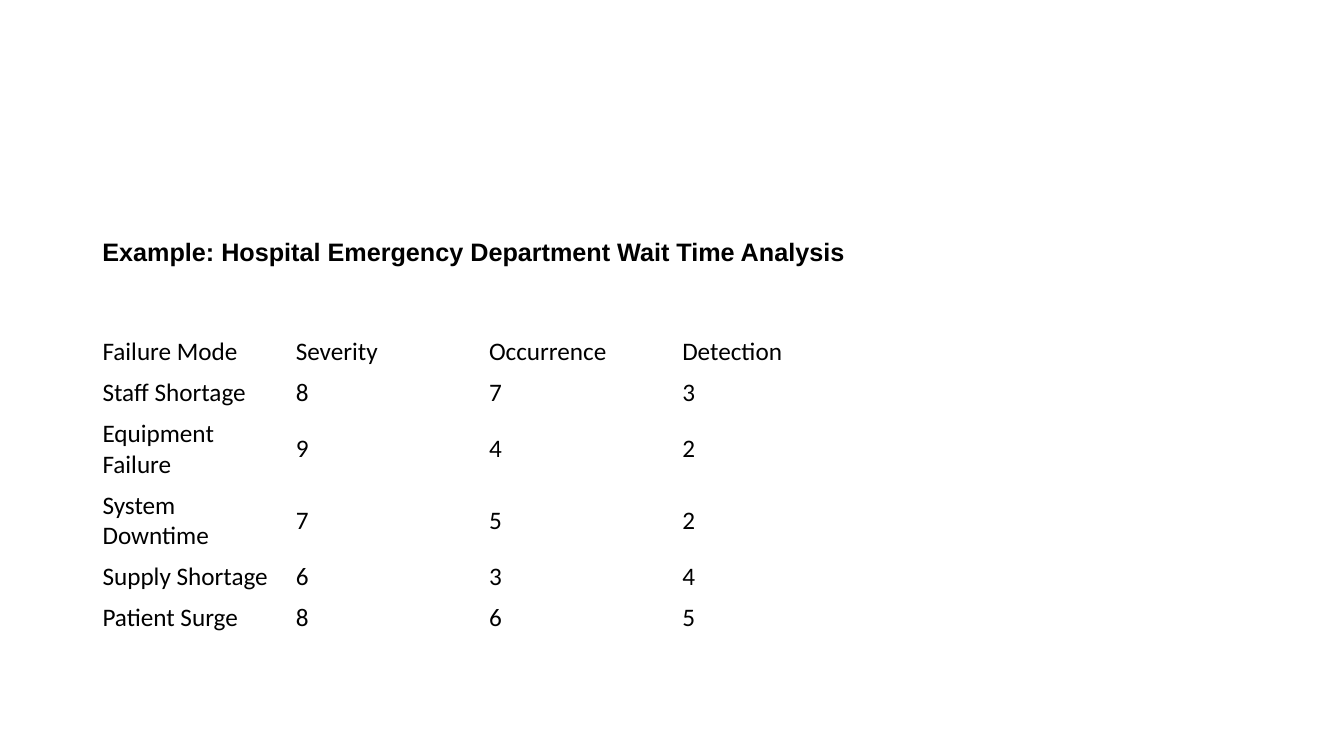
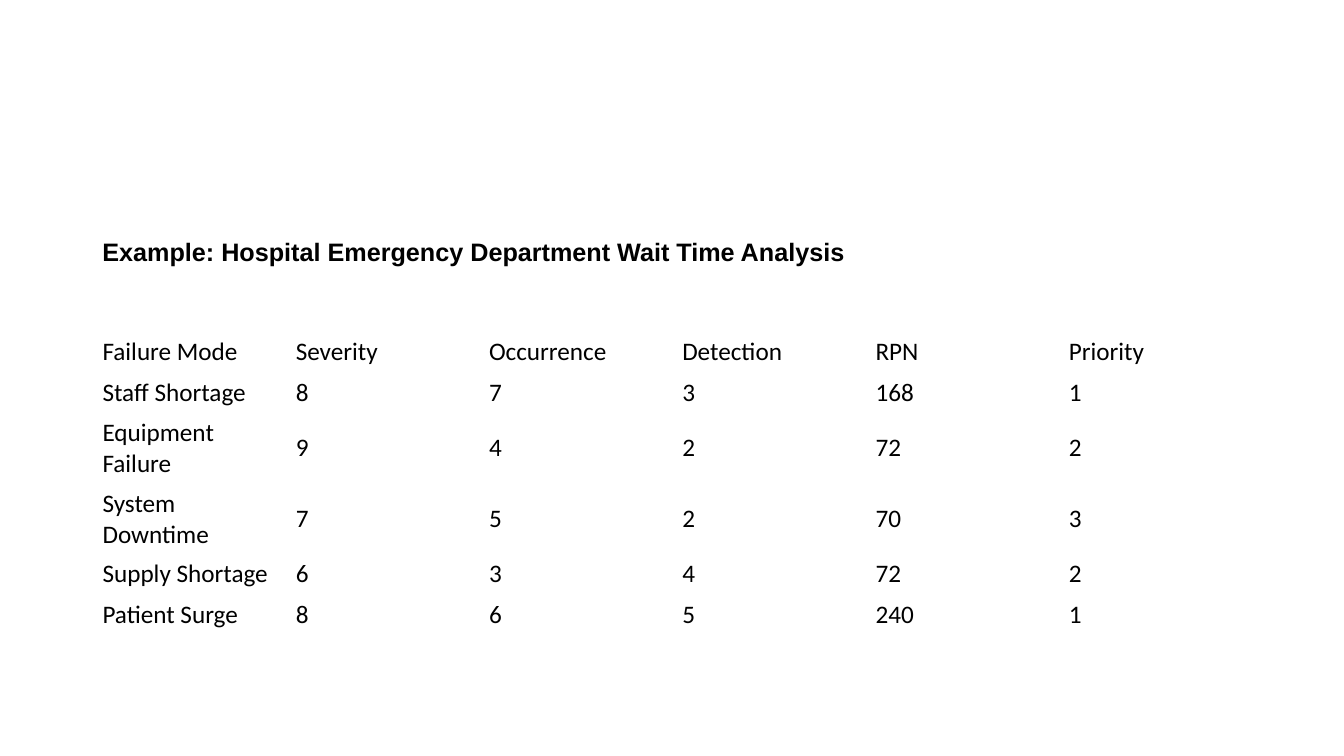
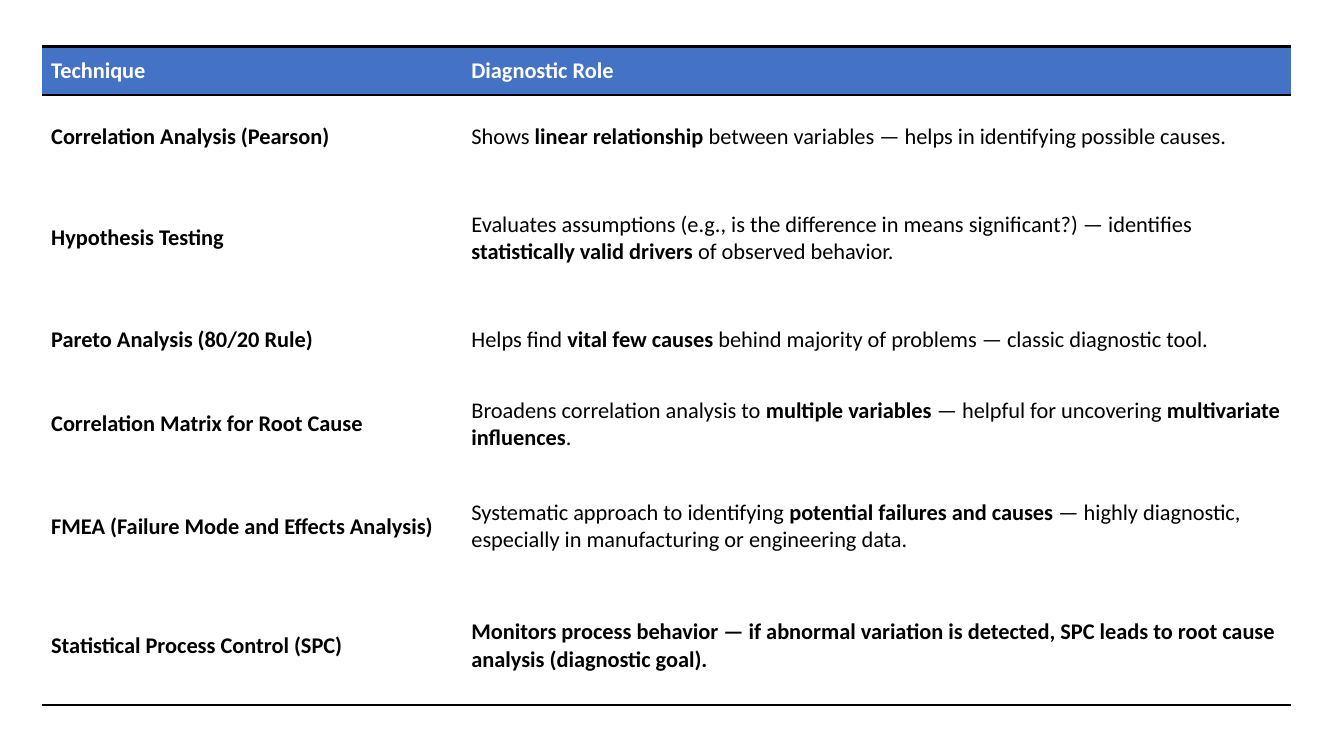
from dataclasses import dataclass

from pptx import Presentation
from pptx.dml.color import RGBColor
from pptx.enum.text import MSO_ANCHOR
from pptx.oxml import parse_xml
from pptx.oxml.ns import nsdecls, qn
from pptx.util import Cm, Pt


@dataclass(frozen=True)
class Theme:
    ink: str = "000000"
    paper: str = "FFFFFF"
    accent: str = "4472C4"
    heading_font: str = "Arial"
    body_font: str = "Calibri"
    large: int = 18
    small: int = 16
    rule: int = 2


THEME = Theme()
PLAIN_TABLE = "{2D5ABB26-0587-4C30-8999-92F81FD0307C}"

HEADING = "Example: Hospital Emergency Department Wait Time Analysis"
FMEA_HEADER = ["Failure Mode", "Severity", "Occurrence", "Detection", "RPN", "Priority"]
# failure mode, severity, occurrence, detection, priority
FAILURES = [
    ("Staff Shortage", 8, 7, 3, 1),
    ("Equipment Failure", 9, 4, 2, 2),
    ("System Downtime", 7, 5, 2, 3),
    ("Supply Shortage", 6, 3, 4, 2),
    ("Patient Surge", 8, 6, 5, 1),
]
SCORED_COLUMNS = 4

# Asterisks enclose bold words; the number is the row height in cm.
TECHNIQUES = [
    (1.22, "*Technique*", "*Diagnostic Role*"),
    (2.11, "*Correlation Analysis (Pearson)*",
     "Shows *linear relationship* between variables — helps in identifying possible causes."),
    (3, "*Hypothesis Testing*",
     "Evaluates assumptions (e.g., is the difference in means significant?) — identifies "
     "*statistically valid drivers* of observed behavior."),
    (2.11, "*Pareto Analysis (80/20 Rule)*",
     "Helps find *vital few causes* behind majority of problems — classic diagnostic tool."),
    (2.16, "*Correlation Matrix for Root Cause*",
     "Broadens correlation analysis to *multiple variables* — helpful for uncovering "
     "*multivariate influences*."),
    (3, "*FMEA (Failure Mode and Effects Analysis)*",
     "Systematic approach to identifying *potential failures and causes* — highly diagnostic, "
     "especially in manufacturing or engineering data."),
    (3, "*Statistical Process Control (SPC)*",
     "*Monitors process behavior — if abnormal variation is detected, SPC leads to root cause "
     "analysis (diagnostic goal).*"),
]


def style(font, name, size, color, bold=False):
    font.name, font.size, font.bold = name, Pt(size), bold
    font.color.rgb = RGBColor.from_string(color)


def write_marked(p, text, size, color):
    """Write text, making the parts between asterisks bold."""
    for i, part in enumerate(text.split("*")):
        if part:
            r = p.add_run()
            r.text = part
            style(r.font, THEME.body_font, size, color, bold=i % 2 == 1)


def add_rule(cell, side):
    """Draw a cell border; side is lnT or lnB."""
    line = parse_xml(
        f'<a:{side} {nsdecls("a")} w="{Pt(THEME.rule)}"><a:solidFill>'
        f'<a:srgbClr val="{THEME.ink}"/></a:solidFill></a:{side}>')
    props = cell._tc.get_or_add_tcPr()
    props.insert(len(props.findall(qn("a:lnT"))), line)


def add_plain_table(s, rows, left, top, widths, heights, size, header_color=THEME.ink):
    frame = s.shapes.add_table(len(rows), len(widths), Cm(left), Cm(top),
                               Cm(sum(widths)), Cm(sum(heights)))
    frame.element.find(".//" + qn("a:tableStyleId")).text = PLAIN_TABLE
    table = frame.table
    table.first_row = table.horz_banding = False
    for column, width in zip(table.columns, widths):
        column.width = Cm(width)
    for i, (row, height, texts) in enumerate(zip(table.rows, heights, rows)):
        row.height = Cm(height)
        for cell, text in zip(row.cells, texts):
            cell.vertical_anchor = MSO_ANCHOR.MIDDLE
            cell.fill.background()
            write_marked(cell.text_frame.paragraphs[0], str(text), size,
                         THEME.ink if i else header_color)
    return table


def add_fmea_slide(prs, rows):
    s = prs.slides.add_slide(prs.slide_layouts[6])
    columns = len(rows[0])
    add_plain_table(s, rows, 2.33, 8.36, [4.87] * columns, [1.02] * len(rows), THEME.large)
    tf = s.shapes.add_textbox(Cm(2.33), Cm(5.79), Cm(19.4), Cm(1.8)).text_frame
    tf.word_wrap = True
    tf.margin_top = Cm(0.17)
    tf.text = HEADING
    style(tf.paragraphs[0].runs[0].font, THEME.heading_font, THEME.large, THEME.ink, bold=True)


def add_techniques_slide(prs):
    s = prs.slides.add_slide(prs.slide_layouts[6])
    heights = [height for height, *_ in TECHNIQUES]
    rows = [texts for _, *texts in TECHNIQUES]
    table = add_plain_table(s, rows, 1.07, 1.17, [10.59, 20.88], heights,
                            THEME.small, THEME.paper)
    last = len(rows) - 1
    for i, row in enumerate(table.rows):
        for cell in row.cells:
            cell.margin_left = cell.margin_right = Cm(0.22)
            cell.margin_top = cell.margin_bottom = Cm(0.11)
            cell.fill.solid()
            cell.fill.fore_color.rgb = RGBColor.from_string(THEME.paper if i else THEME.accent)
            if i == 0:
                add_rule(cell, "lnT")
            if i in (0, last):
                add_rule(cell, "lnB")


def main():
    prs = Presentation()
    prs.slide_width, prs.slide_height = Cm(33.87), Cm(19.05)
    ratings = [FMEA_HEADER] + [
        [mode, sev, occ, det, sev * occ * det, priority]
        for mode, sev, occ, det, priority in FAILURES]
    add_fmea_slide(prs, [row[:SCORED_COLUMNS] for row in ratings])
    add_fmea_slide(prs, ratings)
    add_techniques_slide(prs)
    prs.save("out.pptx")


if __name__ == "__main__":
    main()
